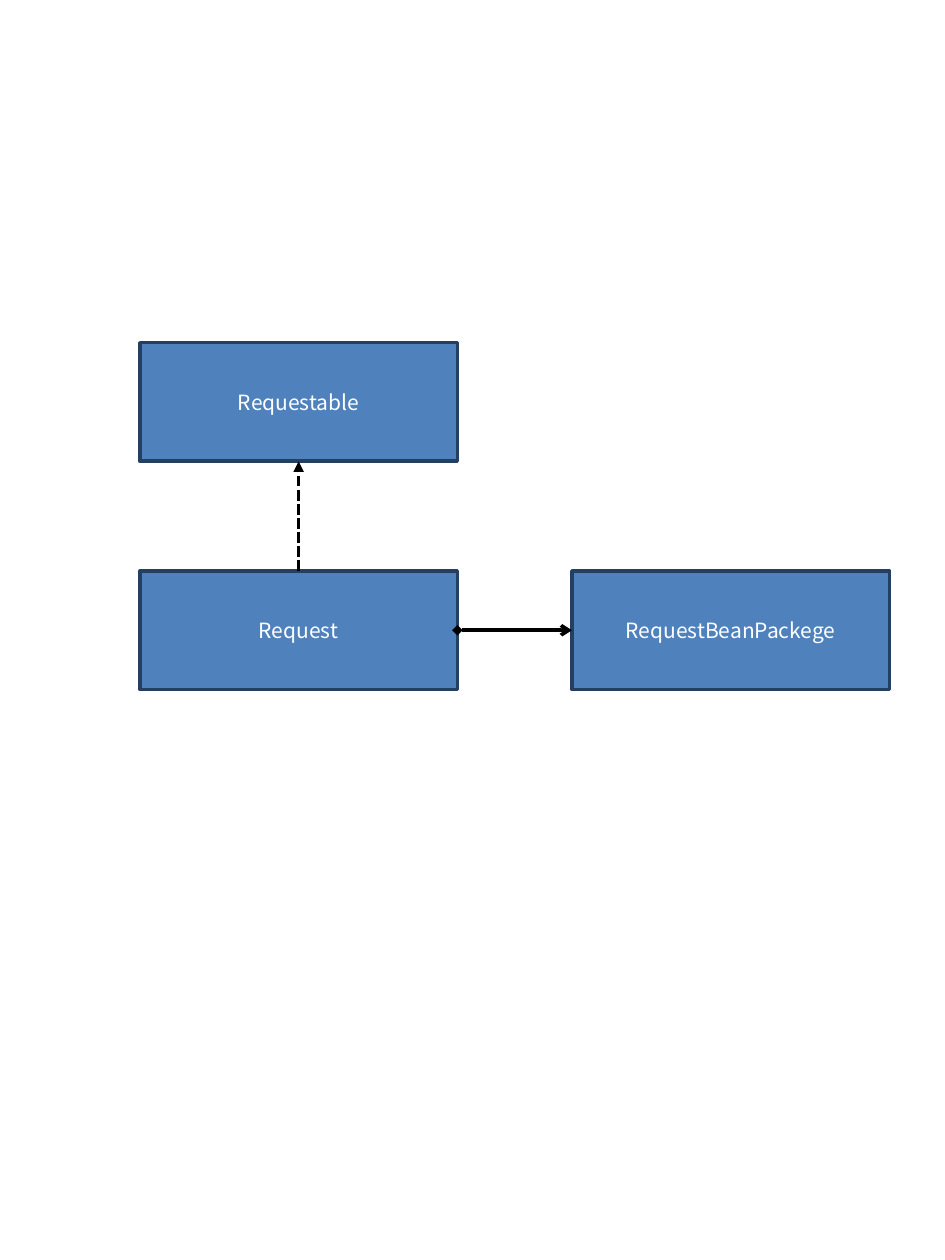
from lxml import etree
from pptx import Presentation
from pptx import util as u
from pptx.dml.color import RGBColor
from pptx.enum import dml, shapes, text
from pptx.oxml.ns import qn

TOP, LEFT, BOTTOM, RIGHT = range(4)  # connection sites of a rectangle


def set_line(line, colour):
    line.color.rgb = RGBColor.from_string(colour)
    line.width = u.Pt(2)


def fill_box(sp, colour):
    sp.fill.solid()
    sp.fill.fore_color.rgb = RGBColor.from_string(colour)


prs = Presentation()
prs.slide_width, prs.slide_height = u.Cm(19.05), u.Cm(25.4)
s = prs.slides.add_slide(prs.slide_layouts[6])

# Class boxes
boxes = {}
for name, x, y in [
    ("RequestBeanPackege", 11.53, 11.51),
    ("Request", 2.82, 11.51),
    ("Requestable", 2.82, 6.91),
]:
    sp = s.shapes.add_shape(
        shapes.MSO_SHAPE.RECTANGLE, u.Cm(x), u.Cm(y), u.Cm(6.4), u.Cm(2.39)
    )
    sp.shadow.inherit = False
    fill_box(sp, "4F81BD")
    set_line(sp.line, "243F60")
    tf = sp.text_frame
    tf.text = name
    tf.vertical_anchor = text.MSO_ANCHOR.MIDDLE
    p = tf.paragraphs[0]
    p.alignment = text.PP_ALIGN.CENTER
    p.font.name = "Noto Sans CJK KR"
    p.font.size = u.Pt(12)
    p.font.color.rgb = RGBColor.from_string("FFFFFF")
    boxes[name] = sp

# Relations: composition to the bean package, realization of the interface
for target, start, end, dash, heads in [
    ("RequestBeanPackege", RIGHT, LEFT, None, {"headEnd": "diamond", "tailEnd": "arrow"}),
    ("Requestable", TOP, BOTTOM, dml.MSO_LINE.SQUARE_DOT, {"tailEnd": "triangle"}),
]:
    cxn = s.shapes.add_connector(shapes.MSO_CONNECTOR.STRAIGHT, 0, 0, 0, 0)
    cxn.begin_connect(boxes["Request"], start)
    cxn.end_connect(boxes[target], end)
    set_line(cxn.line, "000000")
    if dash:
        cxn.line.dash_style = dash
    ln = cxn.line._get_or_add_ln()
    for tag, kind in heads.items():
        etree.SubElement(ln, qn(f"a:{tag}"), type=kind)
    etree.SubElement(cxn._element.spPr, qn("a:effectLst"))

prs.save("out.pptx")
